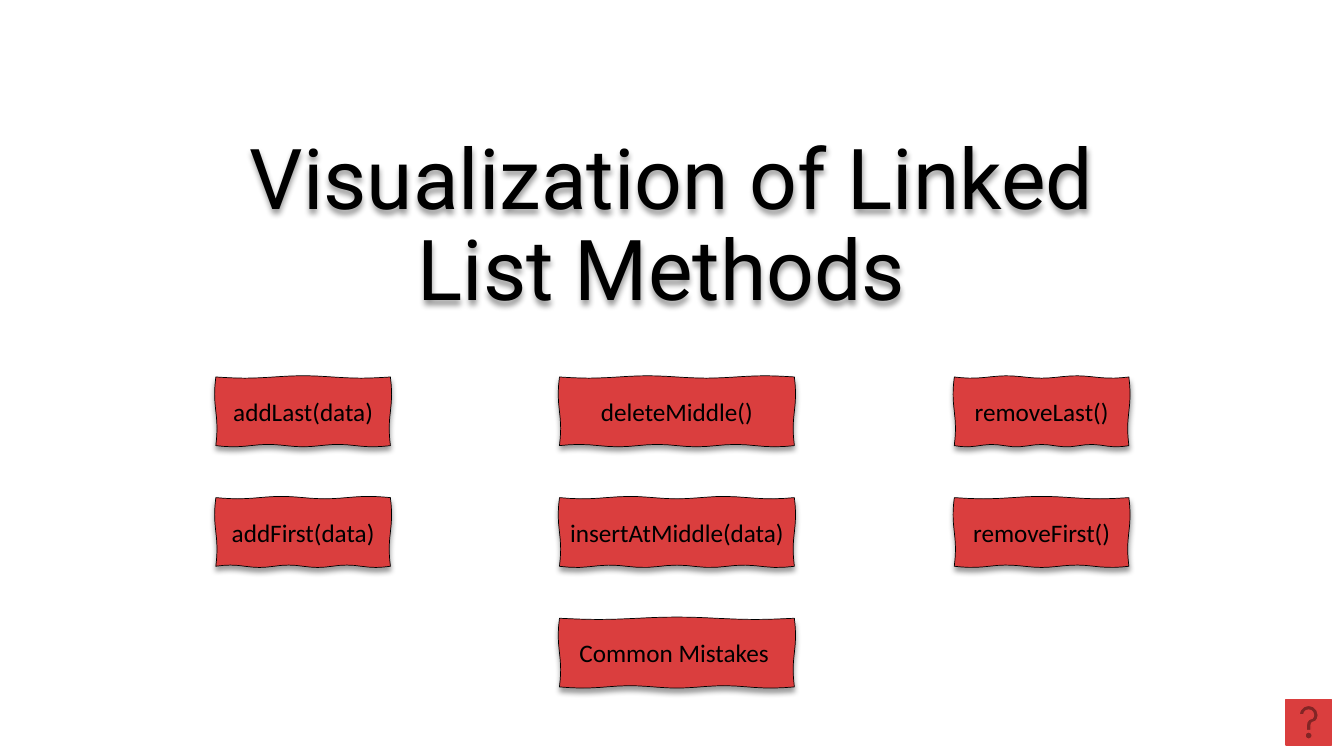
from dataclasses import dataclass
from math import pi, sin

from lxml import etree
from pptx import Presentation
from pptx.dml.color import RGBColor
from pptx.enum.shapes import MSO_SHAPE
from pptx.enum.text import MSO_ANCHOR, PP_ALIGN
from pptx.oxml.ns import qn
from pptx.util import Cm, Pt

HELP_BUTTON = MSO_SHAPE.ACTION_BUTTON_HELP
CENTER = PP_ALIGN.CENTER
MIDDLE = MSO_ANCHOR.MIDDLE
BOTTOM = MSO_ANCHOR.BOTTOM


@dataclass(frozen=True)
class Theme:
    ink: RGBColor = RGBColor(0x00, 0x00, 0x00)
    red: RGBColor = RGBColor(0xDA, 0x3E, 0x3E)
    title_font: str = "Roboto"
    label_font: str = "Calibri"
    title_size: int = 60
    label_size: int = 18
    outline: float = 0.5
    help_outline: float = 1


class SlideBuilder:
    def __init__(self, page, theme):
        self.page = page
        self.theme = theme

    def cast_shadow(self, shape):
        shape.shadow.inherit = False
        effects = shape._element.spPr.find(qn("a:effectLst"))
        shadow = etree.SubElement(
            effects, qn("a:outerShdw"), blurRad=str(Pt(4)), dist=str(Pt(3)),
            dir="5400000", algn="t", rotWithShape="0")
        color = etree.SubElement(shadow, qn("a:srgbClr"), val=str(self.theme.ink))
        etree.SubElement(color, qn("a:alpha"), val="40000")

    def paint(self, shape, line_color, line_width):
        shape.fill.solid()
        shape.fill.fore_color.rgb = self.theme.red
        shape.line.color.rgb = line_color
        shape.line.width = Pt(line_width)

    def add_words(self, shape, words, font, size, anchor):
        frame = shape.text_frame
        frame.word_wrap = True
        frame.vertical_anchor = anchor
        para = frame.paragraphs[0]
        para.alignment = CENTER
        span = para.add_run()
        span.text = words
        span.font.name = font
        span.font.size = Pt(size)
        span.font.color.rgb = self.theme.ink
        return para

    def title(self, words, left, top, width, height):
        box = self.page.shapes.add_textbox(Cm(left), Cm(top), Cm(width), Cm(height))
        para = self.add_words(box, words, self.theme.title_font, self.theme.title_size, BOTTOM)
        para.line_spacing = 0.9
        self.cast_shadow(box)

    def sketched_box(self, words, left, top, width, height, waves):
        right, bottom = left + width, top + height
        corners = [(left, top), (right, top), (right, bottom), (left, bottom), (left, top)]
        steps = 24
        points = []
        for side, ((x1, y1), (x2, y2)) in enumerate(zip(corners, corners[1:])):
            horizontal = y1 == y2
            turns = waves + side if horizontal else 1 + side % 2
            for step in range(1, steps + 1):
                part = step / steps
                sway = 0.03 * sin(turns * pi * part)
                x = x1 + (x2 - x1) * part + (0 if horizontal else sway)
                y = y1 + (y2 - y1) * part + (sway if horizontal else 0)
                points.append((Cm(x), Cm(y)))
        outline = self.page.shapes.build_freeform(Cm(left), Cm(top))
        outline.add_line_segments(points, close=True)
        box = outline.convert_to_shape()
        self.paint(box, self.theme.ink, self.theme.outline)
        self.cast_shadow(box)
        self.add_words(box, words, self.theme.label_font, self.theme.label_size, MIDDLE)

    def help_button(self, left, top, size):
        button = self.page.shapes.add_shape(HELP_BUTTON, Cm(left), Cm(top), Cm(size), Cm(size))
        button.shadow.inherit = False
        self.paint(button, self.theme.red, self.theme.help_outline)


def main():
    deck = Presentation()
    deck.slide_width, deck.slide_height = Cm(33.87), Cm(19.05)
    page = deck.slides.add_slide(deck.slide_layouts[6])
    builder = SlideBuilder(page, Theme())
    builder.title("Visualization of Linked List Methods ", 4.23, 1.52, 25.4, 6.63)

    columns = [
        (5.44, 4.4, ["addLast(data)", "addFirst(data)"]),
        (14.1, 5.92, ["deleteMiddle()", "insertAtMiddle(data)", "Common Mistakes "]),
        (24.05, 4.4, ["removeLast()", "removeFirst()"]),
    ]
    first_top, row_pitch, box_height = 9.5, 3.04, 1.73
    for column, (left, width, methods) in enumerate(columns):
        for row, method in enumerate(methods):
            top = first_top + row * row_pitch
            builder.sketched_box(method, left, top, width, box_height, 3 + (column + row) % 3)

    builder.help_button(32.41, 17.63, 1.14)
    deck.save("out.pptx")


if __name__ == "__main__":
    main()
